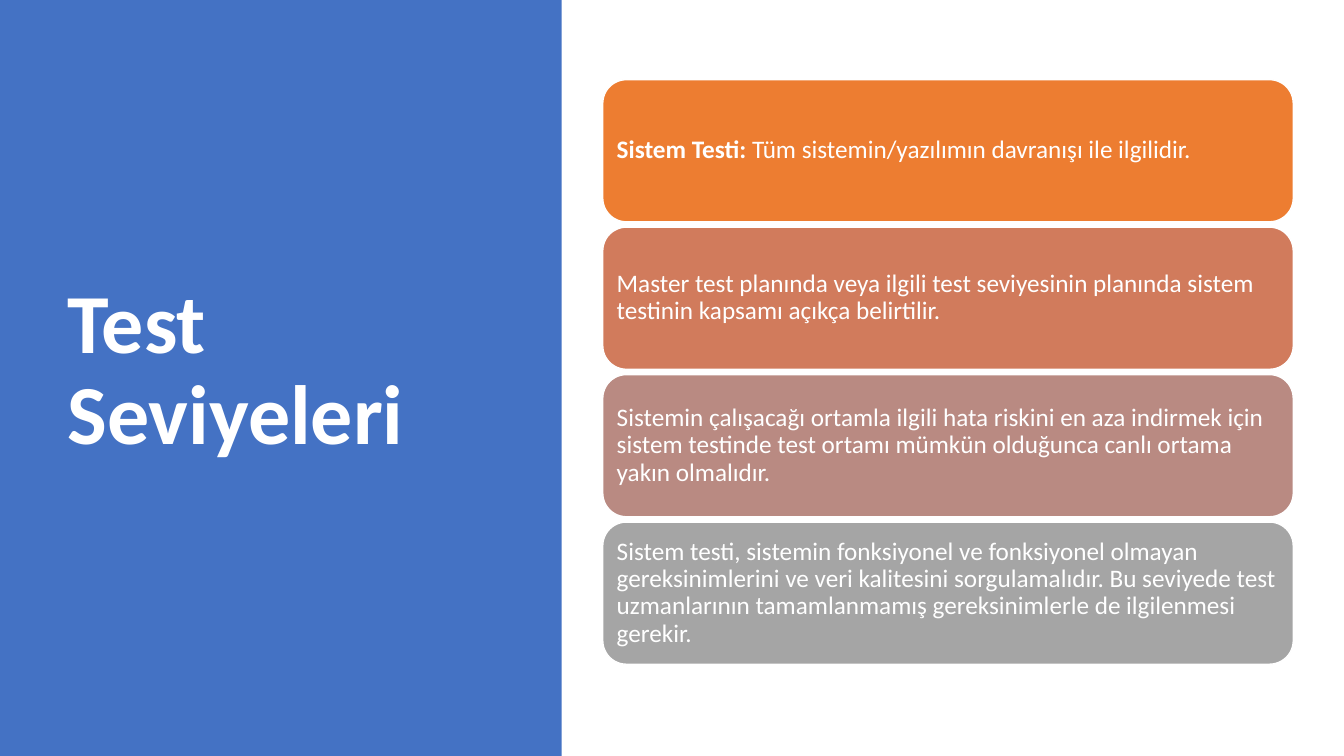
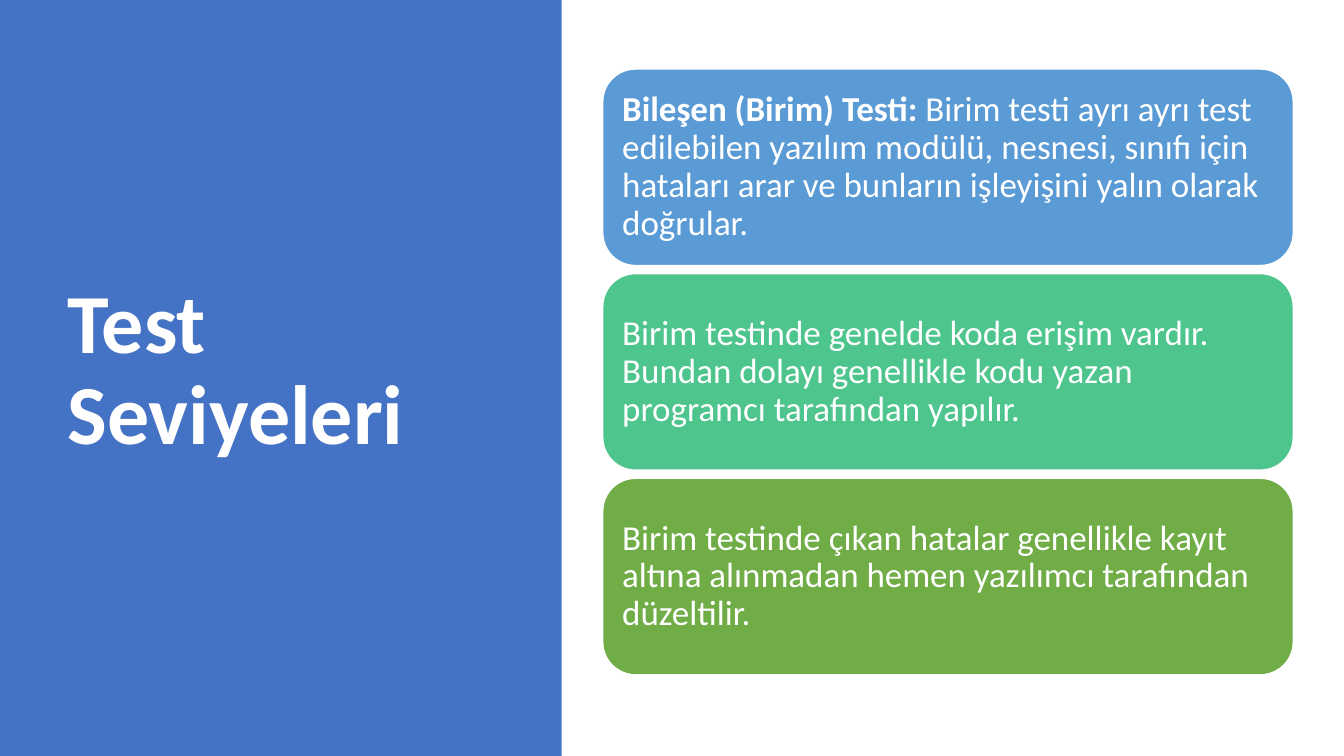
"""Build two slides on software test levels: a title panel beside stacked cards."""
from dataclasses import dataclass

from pptx import Presentation
from pptx.dml.color import RGBColor
from pptx.enum.shapes import MSO_SHAPE
from pptx.enum.text import MSO_ANCHOR, PP_ALIGN
from pptx.util import Emu, Inches, Pt

RECTANGLE = MSO_SHAPE.RECTANGLE
ROUNDED = MSO_SHAPE.ROUNDED_RECTANGLE
MIDDLE = MSO_ANCHOR.MIDDLE
LEFT = PP_ALIGN.LEFT

SLIDE_WIDTH = Inches(13.333)
SLIDE_HEIGHT = Inches(7.5)
FONT = "Calibri"
WHITE = "FFFFFF"
PANEL_BLUE = "4472C4"
TITLE = "Test Seviyeleri"
TITLE_SIZE = 60
LINE_SPACING = 0.9

PANEL_WIDTH = 41.8
TITLE_LEFT, TITLE_TOP = 4.28, 9.07
TITLE_WIDTH, TITLE_HEIGHT = 31.2, 80.27
CARD_LEFT, CARD_WIDTH = 44.85, 51.38
STACK_MIDDLE = 49.2


@dataclass(frozen=True)
class Card:
    fill: str
    text: str
    term: str = ""


@dataclass(frozen=True)
class Level:
    stack_height: float
    gap: float
    font_size: float
    inset: float
    cards: tuple[Card, ...]


LEVELS = (
    Level(77.33, 0.7, 18, 0.07, (
        Card("ED7D31", "Tüm sistemin/yazılımın davranışı ile ilgilidir.", "Sistem Testi: "),
        Card("D17B5C", "Master test planında veya ilgili test seviyesinin planında sistem "
             "testinin kapsamı açıkça belirtilir."),
        Card("B98A82", "Sistemin çalışacağı ortamla ilgili hata riskini en aza indirmek için "
             "sistem testinde test ortamı mümkün olduğunca canlı ortama yakın olmalıdır."),
        Card("A5A5A5", "Sistem testi, sistemin fonksiyonel ve fonksiyonel olmayan "
             "gereksinimlerini ve veri kalitesini sorgulamalıdır. Bu seviyede test "
             "uzmanlarının tamamlanmamış gereksinimlerle de ilgilenmesi gerekir."),
    )),
    Level(80.13, 1.07, 25, 0.1, (
        Card("5B9BD5", "Birim testi ayrı ayrı test edilebilen yazılım modülü, nesnesi, sınıfı "
             "için hataları arar ve bunların işleyişini yalın olarak doğrular.",
             "Bileşen (Birim) Testi: "),
        Card("4DC58D", "Birim testinde genelde koda erişim vardır. Bundan dolayı genellikle "
             "kodu yazan programcı tarafından yapılır."),
        Card("70AD47", "Birim testinde çıkan hatalar genellikle kayıt altına alınmadan hemen "
             "yazılımcı tarafından düzeltilir."),
    )),
)


def color(value: str) -> RGBColor:
    """Turn a hex string into a colour."""
    return RGBColor.from_string(value)


def area(left: float, top: float, width: float, height: float) -> tuple[Emu, ...]:
    """Turn percentages of the slide into a position and a size."""
    return (Emu(int(SLIDE_WIDTH * left / 100)), Emu(int(SLIDE_HEIGHT * top / 100)),
            Emu(int(SLIDE_WIDTH * width / 100)), Emu(int(SLIDE_HEIGHT * height / 100)))


def add_block(slide, kind, box: tuple[Emu, ...], fill: str):
    """Add a filled shape without shadow or outline."""
    block = slide.shapes.add_shape(kind, *box)
    block.shadow.inherit = False
    block.fill.solid()
    block.fill.fore_color.rgb = color(fill)
    block.line.fill.background()
    return block


def write(frame, text: str, size: float, term: str = "", bold: bool = False) -> None:
    """Write one white paragraph, opened by a bold term if there is one."""
    frame.word_wrap = True
    frame.vertical_anchor = MIDDLE
    paragraph = frame.paragraphs[0]
    paragraph.alignment = LEFT
    paragraph.line_spacing = LINE_SPACING
    paragraph.font.name = FONT
    paragraph.font.size = Pt(size)
    paragraph.font.color.rgb = color(WHITE)
    paragraph.font.bold = bold
    if term:
        opening = paragraph.add_run()
        opening.text = term
        opening.font.bold = True
    paragraph.add_run().text = text


def add_title_panel(slide) -> None:
    """Add the blue panel with the title."""
    add_block(slide, RECTANGLE, area(0, 0, PANEL_WIDTH, 100), PANEL_BLUE)
    title = slide.shapes.add_textbox(*area(TITLE_LEFT, TITLE_TOP, TITLE_WIDTH, TITLE_HEIGHT))
    write(title.text_frame, TITLE, TITLE_SIZE, bold=True)


def add_cards(slide, level: Level) -> None:
    """Stack equal cards around the middle line."""
    count = len(level.cards)
    height = (level.stack_height - level.gap * (count - 1)) / count
    first_top = STACK_MIDDLE - level.stack_height / 2
    for row, card in enumerate(level.cards):
        top = first_top + row * (height + level.gap)
        block = add_block(slide, ROUNDED, area(CARD_LEFT, top, CARD_WIDTH, height), card.fill)
        block.line.color.rgb = color(WHITE)
        block.line.width = Pt(1)
        frame = block.text_frame
        frame.margin_left = frame.margin_right = Inches(level.inset)
        frame.margin_top = frame.margin_bottom = Inches(level.inset)
        write(frame, card.text, level.font_size, card.term)


def main() -> None:
    """Build and save the presentation."""
    deck = Presentation()
    deck.slide_width, deck.slide_height = SLIDE_WIDTH, SLIDE_HEIGHT
    blank = deck.slide_layouts[6]
    for level in LEVELS:
        slide = deck.slides.add_slide(blank)
        add_title_panel(slide)
        add_cards(slide, level)
    deck.save("out.pptx")


if __name__ == "__main__":
    main()
